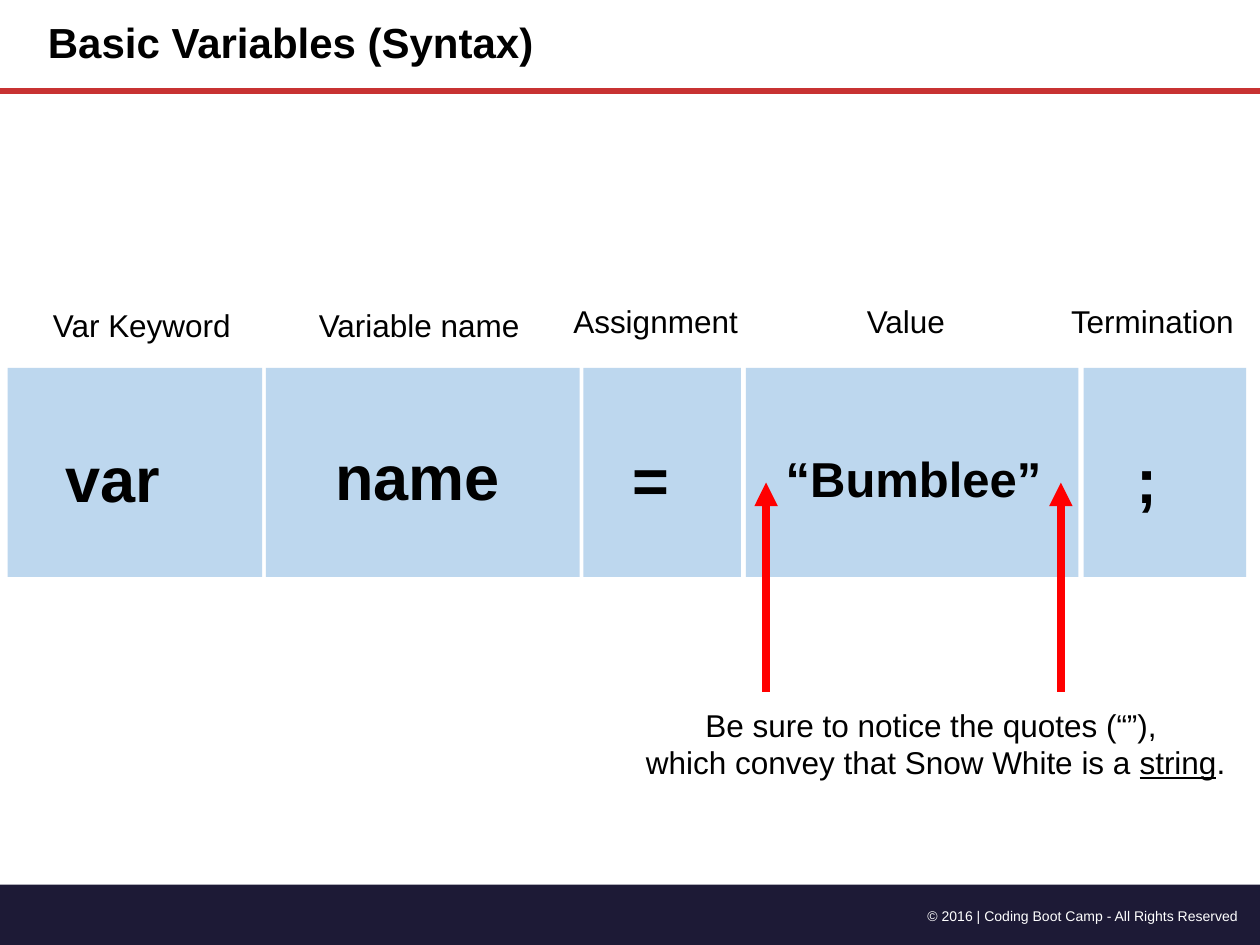
from pptx import Presentation
from pptx.dml.color import RGBColor
from pptx.enum.shapes import MSO_CONNECTOR, MSO_SHAPE
from pptx.enum.text import MSO_ANCHOR, MSO_AUTO_SIZE, PP_ALIGN
from pptx.oxml.ns import qn
from pptx.util import Inches, Pt
from lxml.etree import SubElement

BLACK, WHITE, RED = "000000", "FFFFFF", "FF0000"
CELLS = [(0.06, 2.02), (2.11, 2.49), (4.63, 1.25), (5.92, 2.64), (8.6, 1.29)]
LABELS = [
    ("Var Keyword", 0.37, 2.38, 1.53),
    ("Variable name", 2.48, 2.38, 1.71),
    ("Assignment", 4.5, 2.35, 1.42),
    ("Value", 6.83, 2.35, 0.73),
    ("Termination", 8.45, 2.35, 1.41),
]
TOKENS = [
    ("var", 0.47, 3.44, 1.55),
    ("name", 2.61, 3.42, 2.09),
    ("=", 4.97, 3.45, 0.93),
    (";", 8.97, 3.45, 0.93),
]
NOTE = [
    [("Be sure to notice the quotes (“”), ", False)],
    [("which convey that Snow White is a ", False), ("string", True), (".", False)],
]


def paint(color, tint):
    """Set a colour object from a hex string."""
    color.rgb = RGBColor.from_string(tint)


def write(frame, lines, size, tint=BLACK, bold=False, align=PP_ALIGN.LEFT):
    """Fill a text frame with lines of (text, underline) runs."""
    frame.margin_left = frame.margin_right = Inches(0.05)
    frame.margin_top = frame.margin_bottom = Inches(0.05)
    for i, line in enumerate(lines):
        para = frame.paragraphs[0] if i == 0 else frame.add_paragraph()
        para.alignment = align
        for text, under in line:
            run = para.add_run()
            run.text = text
            font = run.font
            font.name, font.size, font.bold = "Arial", Pt(size), bold
            font.underline = under
            paint(font.color, tint)


def add_text(slide, box, lines, size, wrap=True, **style):
    """Add a text box that grows with its text."""
    frame = slide.shapes.add_textbox(*map(Inches, box)).text_frame
    frame.word_wrap = wrap
    frame.auto_size = MSO_AUTO_SIZE.SHAPE_TO_FIT_TEXT
    write(frame, lines, size, **style)


def add_block(slide, box, tint):
    """Add a plain filled rectangle."""
    block = slide.shapes.add_shape(MSO_SHAPE.RECTANGLE, *map(Inches, box))
    block.shadow.inherit = False
    block.fill.solid()
    paint(block.fill.fore_color, tint)
    block.line.fill.background()


def add_line(slide, ends, tint, width, arrow=False):
    """Add a straight line, with an arrowhead at its end if asked."""
    link = slide.shapes.add_connector(MSO_CONNECTOR.STRAIGHT, *map(Inches, ends))
    paint(link.line.color, tint)
    link.line.width = Pt(width)
    if arrow:
        SubElement(link.line._get_or_add_ln(), qn("a:tailEnd"), type="triangle")
    SubElement(link._element.spPr, qn("a:effectLst"))


def set_title(slide, text):
    """Place and format the title placeholder."""
    title = slide.shapes.title
    title.left, title.top = Inches(0.33), Inches(0)
    title.width, title.height = Inches(5.98), Inches(0.72)
    frame = title.text_frame
    frame.auto_size = MSO_AUTO_SIZE.NONE
    frame.vertical_anchor = MSO_ANCHOR.MIDDLE
    write(frame, [[(text, False)]], 24, bold=True)
    frame.paragraphs[0].line_spacing = 0.9


def add_frame(slide):
    """Add the footer band, its copyright line and the title rule."""
    add_block(slide, (0, 7.02, 10, 0.48), "1D1A36")
    mark = "© 2016 | Coding Boot Camp - All Rights Reserved"
    add_text(slide, (6.83, 7.15, 3.05, 0.22), [[(mark, False)]], 8,
             tint=WHITE, align=PP_ALIGN.RIGHT)
    add_line(slide, (0, 0.72, 10, 0.72), "C83232", 3.25)


def main():
    """Build the slide and save it."""
    deck = Presentation()
    deck.slide_width, deck.slide_height = Inches(10), Inches(7.5)
    slide = deck.slides.add_slide(deck.slide_layouts[5])
    add_frame(slide)
    set_title(slide, "Basic Variables (Syntax)")
    for left, width in CELLS:
        add_block(slide, (left, 2.92, width, 1.66), "BDD7EE")
    for text, left, top, width in TOKENS:
        add_text(slide, (left, top, width, 0.67), [[(text, False)]], 36, bold=True)
    for text, left, top, width in LABELS:
        add_text(slide, (left, top, width, 0.38), [[(text, False)]], 18, wrap=False)
    add_text(slide, (5.07, 5.55, 4.71, 0.68), NOTE, 18, wrap=False,
             align=PP_ALIGN.CENTER)
    for x in (8.42, 6.08):
        add_line(slide, (x, 5.49, x, 3.83), RED, 4.5, arrow=True)
    add_text(slide, (5.76, 3.51, 2.98, 0.53), [[("“Bumblee”", False)]], 28,
             bold=True, align=PP_ALIGN.CENTER)
    deck.save("out.pptx")


if __name__ == "__main__":
    main()
